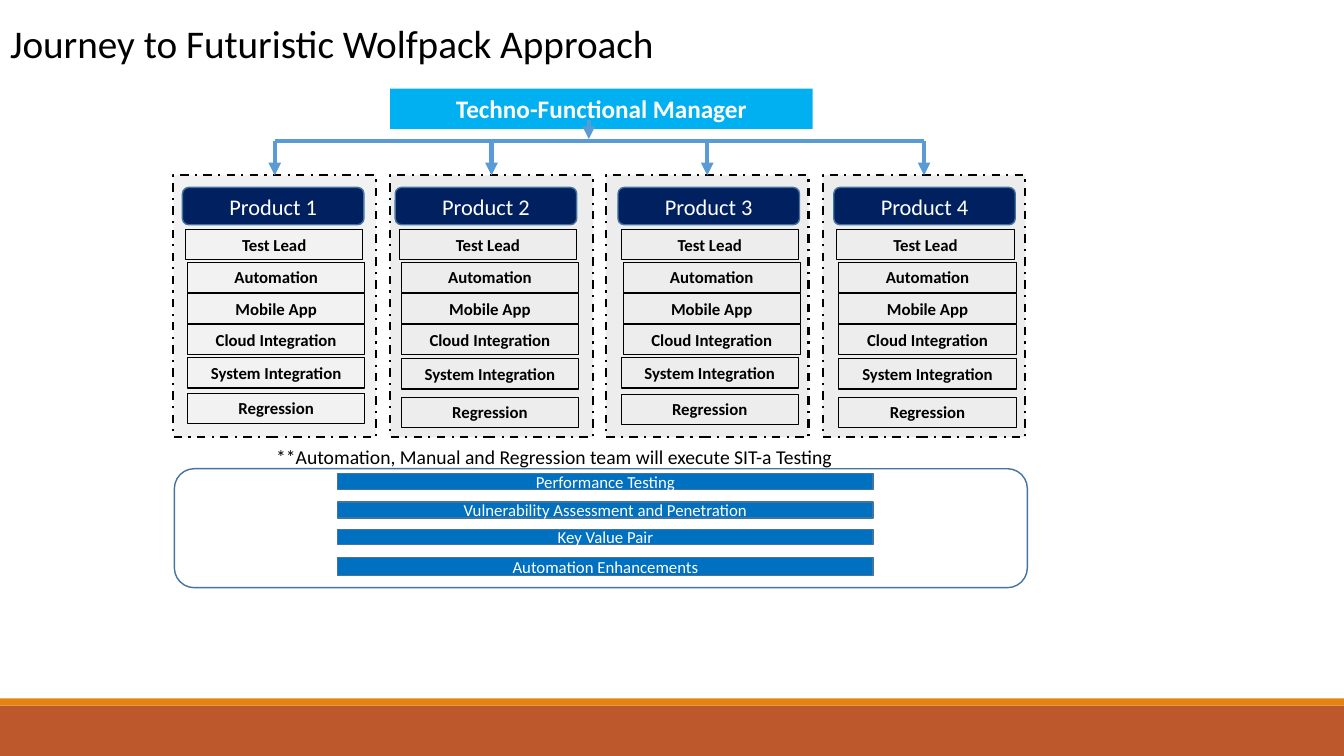
from dataclasses import dataclass

from lxml import etree
from pptx import Presentation
from pptx.dml.color import RGBColor
from pptx.enum.dml import MSO_LINE
from pptx.enum.shapes import MSO_CONNECTOR, MSO_SHAPE
from pptx.enum.text import MSO_ANCHOR, PP_ALIGN
from pptx.oxml.ns import qn
from pptx.util import Inches, Pt

RECTANGLE = MSO_SHAPE.RECTANGLE
ROUNDED = MSO_SHAPE.ROUNDED_RECTANGLE
STRAIGHT = MSO_CONNECTOR.STRAIGHT
DASH_DOT = MSO_LINE.DASH_DOT
MIDDLE = MSO_ANCHOR.MIDDLE
LEFT, CENTER = PP_ALIGN.LEFT, PP_ALIGN.CENTER
TOP_SIDE = 0


@dataclass(frozen=True)
class Theme:
    font: str = "Calibri"
    black: str = "000000"
    white: str = "FFFFFF"
    navy: str = "002060"
    blue: str = "0070C0"
    sky: str = "00B0F0"
    outline: str = "43739E"
    arrow: str = "5B9BD5"
    light_panel: str = "F2F2F2"
    panel: str = "EDEDED"
    orange: str = "E48312"
    rust: str = "BD582C"
    title_size: int = 28
    manager_size: int = 18
    product_size: int = 16
    note_size: int = 14
    label_size: int = 12


@dataclass(frozen=True)
class Product:
    name: str
    panel_left: float
    header_left: float
    lead_left: float
    lower_left: float
    system_top: float
    regression_top: float
    fill: str


class SlideBuilder:
    def __init__(self, slide, theme):
        self.slide = slide
        self.theme = theme

    def set_text(self, shape, text, size, color, bold=False, align=CENTER, inset=0.05):
        frame = shape.text_frame
        frame.word_wrap = True
        frame.vertical_anchor = MIDDLE
        frame.margin_left = frame.margin_right = Inches(0.1)
        frame.margin_top = frame.margin_bottom = Inches(inset)
        frame.text = text
        para = frame.paragraphs[0]
        para.alignment = align
        for span in para.runs:
            span.font.name = self.theme.font
            span.font.size = Pt(size)
            span.font.bold = bold
            span.font.color.rgb = RGBColor.from_string(color)

    def title(self, text, *bounds):
        title = self.slide.shapes.title
        title.left, title.top, title.width, title.height = map(Inches, bounds)
        self.set_text(title, text, self.theme.title_size, self.theme.black, align=LEFT)

    def box(self, kind, bounds, fill=None, line=None, width=1, dash=None):
        box = self.slide.shapes.add_shape(kind, *map(Inches, bounds))
        box.shadow.inherit = False
        if fill:
            box.fill.solid()
            box.fill.fore_color.rgb = RGBColor.from_string(fill)
        else:
            box.fill.background()
        if line:
            box.line.color.rgb = RGBColor.from_string(line)
            box.line.width = Pt(width)
            box.line.dash_style = dash
        else:
            box.line.fill.background()
        return box

    def note(self, text, *bounds):
        note = self.slide.shapes.add_textbox(*map(Inches, bounds))
        self.set_text(note, text, self.theme.note_size, self.theme.black, align=LEFT)

    def connector(self, start, end, arrow=True, target=None):
        """Draw a straight line, joined to the top of target if one is given."""
        points = map(Inches, (*start, *end))
        connector = self.slide.shapes.add_connector(STRAIGHT, *points)
        connector.line.color.rgb = RGBColor.from_string(self.theme.arrow)
        connector.line.width = Pt(3)
        properties = connector._element.spPr
        if arrow:
            line = properties.find(qn("a:ln"))
            etree.SubElement(line, qn("a:tailEnd"), type="triangle")
        etree.SubElement(properties, qn("a:effectLst"))
        if target is not None:
            connector.end_connect(target, TOP_SIDE)

    def product_column(self, product):
        """Draw one product's panel with its header and roles; return the panel."""
        theme = self.theme
        panel = self.box(
            RECTANGLE, (product.panel_left, PANEL_TOP, PANEL_WIDTH, 2.6),
            product.fill, theme.black, 1.5, DASH_DOT)
        header = self.box(
            ROUNDED, (product.header_left, 1.86, 1.8, 0.37), theme.navy, theme.outline)
        self.set_text(header, product.name, theme.product_size, theme.white)
        inner_left = product.lead_left + 0.02
        roles = (
            ("Test Lead", product.lead_left, 2.28),
            ("Automation", inner_left, 2.6),
            ("Mobile App", inner_left, 2.91),
            ("Cloud Integration", inner_left, 3.22),
            ("System Integration", product.lower_left, product.system_top),
            ("Regression", product.lower_left, product.regression_top),
        )
        for text, left, top in roles:
            role = self.box(RECTANGLE, (left, top, 1.76, 0.3), None, theme.black, 0.75)
            self.set_text(role, text, theme.label_size, theme.black, bold=True)
        return panel


PANEL_TOP, PANEL_WIDTH = 1.74, 2.01
BUS_TOP = 1.4
THEME = Theme()
PRODUCTS = (
    Product("Product 1", 1.72, 1.81, 1.84, 1.86, 3.55, 3.9, THEME.light_panel),
    Product("Product 2", 3.87, 3.92, 3.96, 3.98, 3.56, 3.94, THEME.panel),
    Product("Product 3", 6.01, 6.13, 6.16, 6.16, 3.55, 3.91, THEME.panel),
    Product("Product 4", 8.16, 8.27, 8.3, 8.32, 3.56, 3.94, THEME.panel),
)
SERVICES = (
    ("Performance Testing", 4.7, 0.16),
    ("Vulnerability Assessment and Penetration", 4.98, 0.16),
    ("Key Value Pair", 5.25, 0.15),
    ("Automation Enhancements", 5.53, 0.18),
)


def main():
    deck = Presentation()
    deck.slide_width, deck.slide_height = Inches(13.33), Inches(7.5)
    title_only = deck.slide_layouts.get_by_name("Title Only")
    page = SlideBuilder(deck.slides.add_slide(title_only), THEME)

    page.title("Journey to Futuristic Wolfpack Approach", 0, 0.14, 9.94, 0.57)
    page.box(RECTANGLE, (0, 7, 13.33, 0.5), THEME.rust)
    page.box(RECTANGLE, (0, 6.93, 13.33, 0.07), THEME.orange)

    manager = page.box(RECTANGLE, (3.87, 0.88, 4.19, 0.4), THEME.sky)
    page.set_text(manager, "Techno-Functional Manager", THEME.manager_size,
                  THEME.white, bold=True)
    page.connector((5.84, 1.19), (5.84, 1.38))

    centers = [product.panel_left + PANEL_WIDTH / 2 for product in PRODUCTS]
    page.connector((centers[0], BUS_TOP), (centers[-1], BUS_TOP), arrow=False)
    for product, center in zip(PRODUCTS, centers):
        panel = page.product_column(product)
        page.connector((center, BUS_TOP), (center, PANEL_TOP), target=panel)

    page.note("**Automation, Manual and Regression team will execute SIT-a Testing",
              2.64, 4.36, 7.31, 0.34)
    page.box(ROUNDED, (1.73, 4.65, 8.46, 1.18), None, THEME.outline)
    for text, top, height in SERVICES:
        service = page.box(
            RECTANGLE, (3.35, top, 5.31, height), THEME.blue, THEME.outline)
        page.set_text(service, text, THEME.label_size, THEME.white, inset=0)

    deck.save("out.pptx")


if __name__ == "__main__":
    main()
